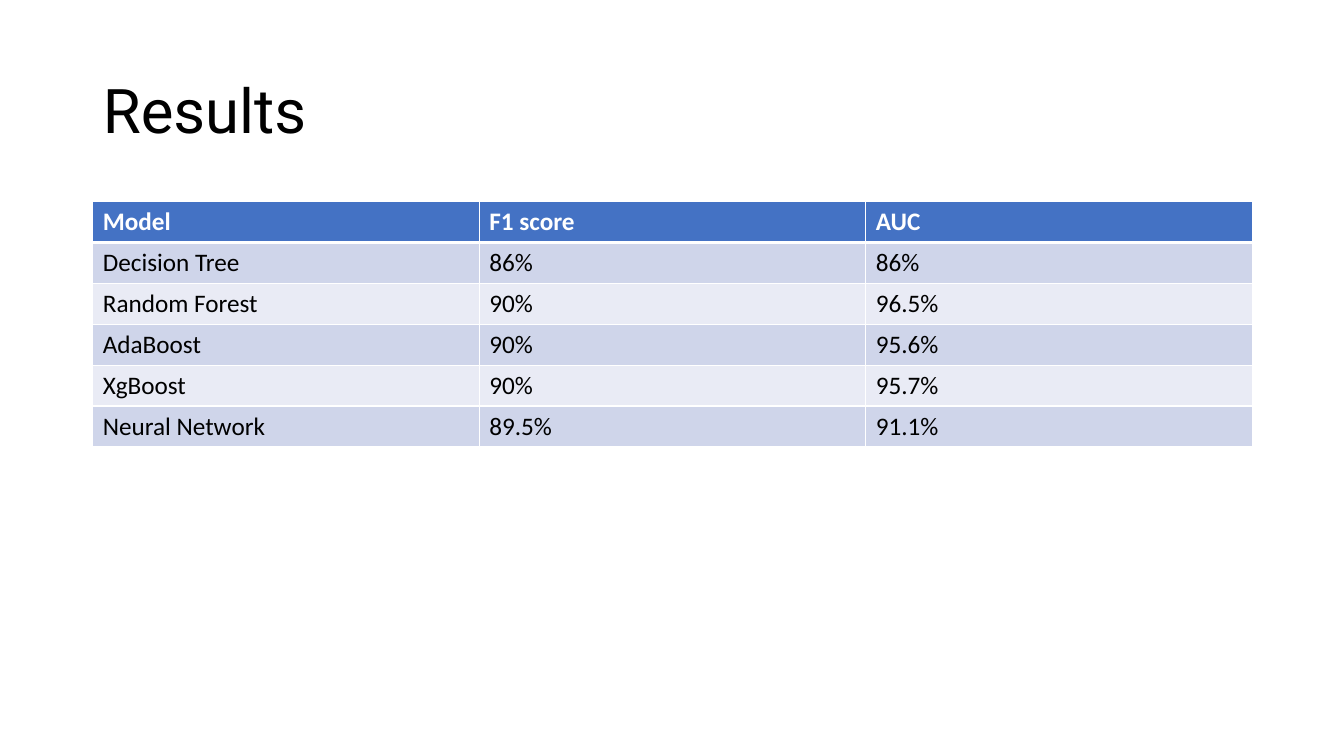
from typing import Any, NamedTuple

from lxml.etree import SubElement as Sub
from pptx import Presentation as Deck
from pptx.dml.color import RGBColor as Color
from pptx.enum.text import MSO_ANCHOR as Anchor, MSO_AUTO_SIZE as Fit, PP_ALIGN as Align
from pptx.oxml.ns import qn
from pptx.util import Inches, Pt

WHITE = Color(0xFF, 0xFF, 0xFF)
BLACK = Color(0x00, 0x00, 0x00)
BLUE = Color(0x44, 0x72, 0xC4)
BANDS = (Color(0xCF, 0xD5, 0xEA), Color(0xE9, 0xEB, 0xF5))

LEFT, WIDTH = Inches(0.92), Inches(11.5)
HEAD_BOX = {"left": LEFT, "top": Inches(0.4), "width": WIDTH, "height": Inches(1.45)}
HEAD_FRAME = {"vertical_anchor": Anchor.MIDDLE, "word_wrap": True, "auto_size": Fit.NONE}
HEAD_PARA = {"alignment": Align.LEFT, "line_spacing": 0.9}
GRID_TOP, ROW_HIGH = Inches(2), Inches(0.405)
THIN, THICK = Pt(1), Pt(3)


class Score(NamedTuple):
    """One table row: a model and its two scores."""

    model: str
    f_one: str
    auc: str


SCORES = (
    Score("Model", "F1 score", "AUC"),
    Score("Decision Tree", "86%", "86%"),
    Score("Random Forest", "90%", "96.5%"),
    Score("AdaBoost", "90%", "95.6%"),
    Score("XgBoost", "90%", "95.7%"),
    Score("Neural Network", "89.5%", "91.1%"),
)


def apply(item: Any, form: dict[str, Any]) -> None:
    """Set each named attribute of an item."""
    for name, value in form.items():
        setattr(item, name, value)


def style(font: Any, face: str, size: int, color: Color, bold: bool = False) -> None:
    """Give a font its face, size, colour and weight."""
    apply(font, {"name": face, "size": Pt(size), "bold": bold})
    font.color.rgb = color


def edge(cell: Any, top: int, bottom: int) -> None:
    """Draw white borders round a cell."""
    props = cell._tc.get_or_add_tcPr()
    for side, width in {"L": THIN, "R": THIN, "T": top, "B": bottom}.items():
        line = Sub(props, qn(f"a:ln{side}"), w=str(width))
        fill = Sub(line, qn("a:solidFill"))
        Sub(fill, qn("a:srgbClr"), val=str(WHITE))


def add_head(slide: Any, text: str) -> None:
    """Place and format the slide title."""
    head = slide.shapes.title
    apply(head, HEAD_BOX)
    frame = head.text_frame
    frame.text = text
    apply(frame, HEAD_FRAME)
    para = frame.paragraphs[0]
    apply(para, HEAD_PARA)
    style(para.runs[0].font, "Roboto", 44, BLACK)


def add_scores(slide: Any, scores: tuple[Score, ...]) -> None:
    """Draw the score table with a header and banded rows."""
    count = len(scores)
    table = slide.shapes.add_table(
        count, len(Score._fields), LEFT, GRID_TOP, WIDTH, ROW_HIGH * count
    ).table
    for row, score in enumerate(scores):
        first = row == 0
        for col, text in enumerate(score):
            cell = table.cell(row, col)
            cell.text = text
            edge(cell, THICK if row == 1 else THIN, THICK if first else THIN)
            cell.fill.solid()
            cell.fill.fore_color.rgb = BLUE if first else BANDS[(row - 1) % 2]
            font = cell.text_frame.paragraphs[0].runs[0].font
            style(font, "Calibri", 18, WHITE if first else BLACK, first)


def main() -> None:
    """Build and save the results slide."""
    deck = Deck()
    apply(deck, {"slide_width": Inches(13.33), "slide_height": Inches(7.5)})
    slide = deck.slides.add_slide(deck.slide_layouts.get_by_name("Title Only"))
    add_head(slide, "Results")
    add_scores(slide, SCORES)
    deck.save("out.pptx")


main()
